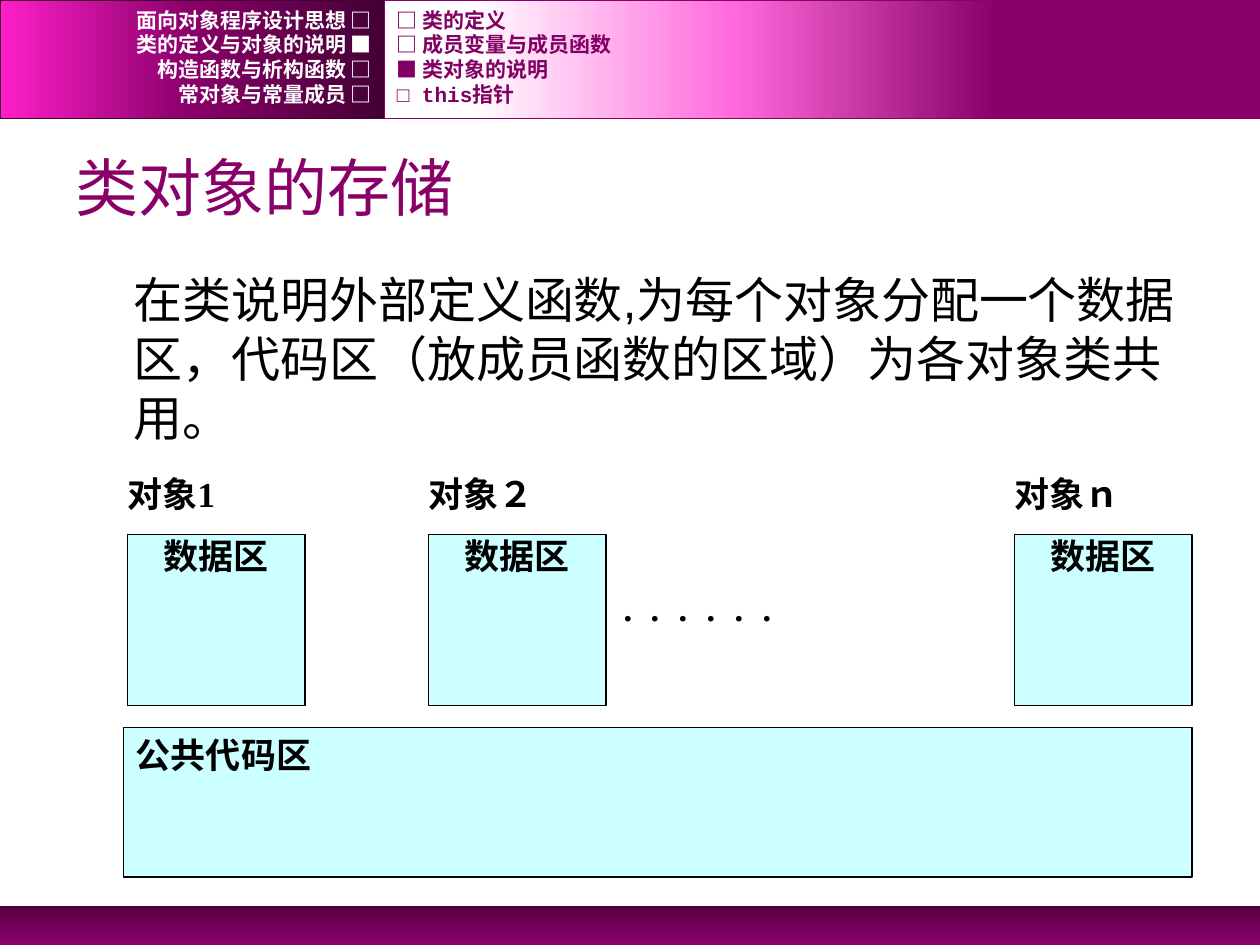
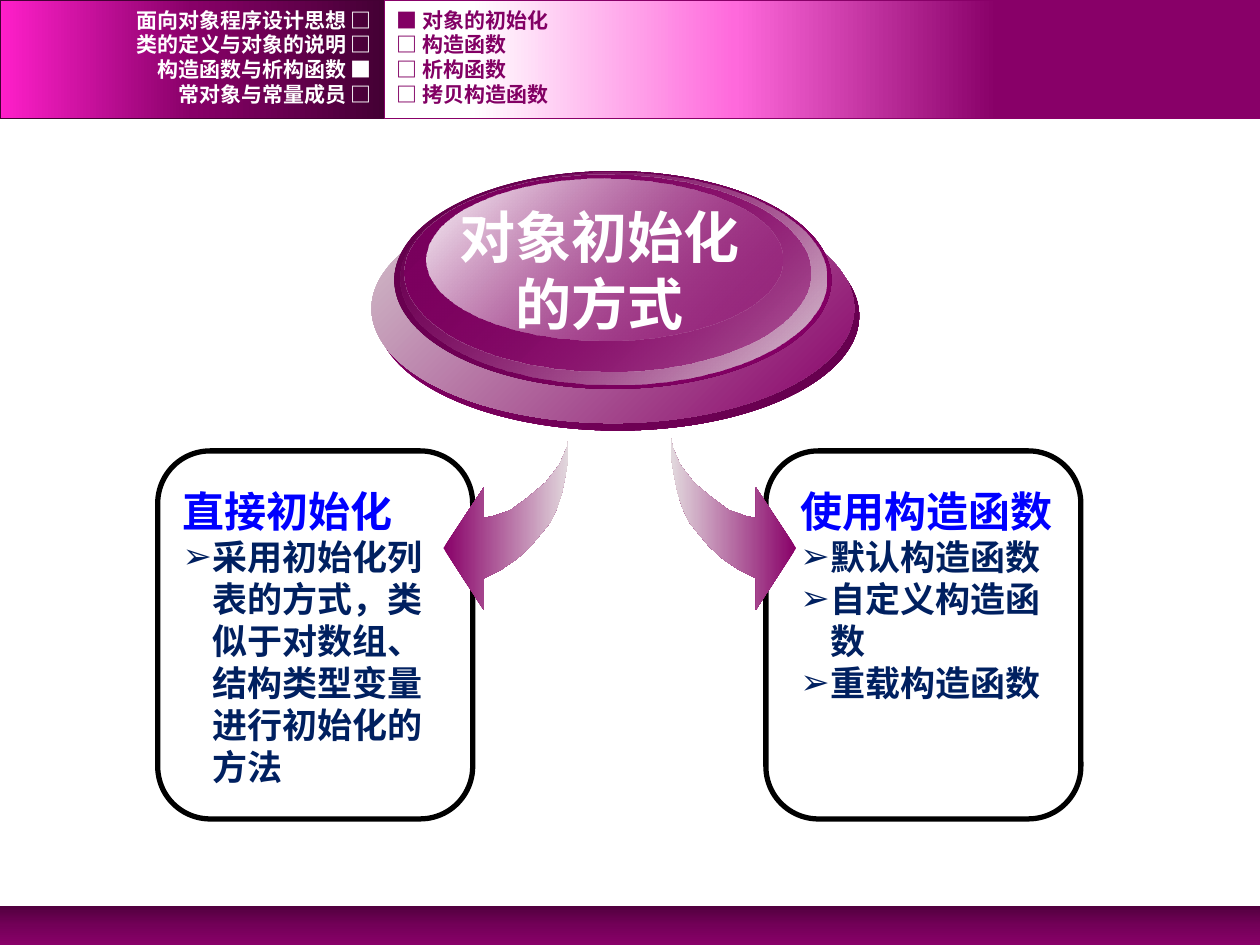
import dataclasses

import lxml.etree
import pptx
import pptx.dml.color
import pptx.enum.lang
import pptx.enum.shapes
import pptx.enum.text
import pptx.oxml.ns
import pptx.util

Cm = pptx.util.Cm
qn = pptx.oxml.ns.qn
SHAPE = pptx.enum.shapes.MSO_SHAPE
ALIGN = pptx.enum.text.PP_ALIGN
ANCHOR = pptx.enum.text.MSO_ANCHOR


# ---- Theme ----
@dataclasses.dataclass(frozen=True)
class Style:
    size: int
    color: str
    font: str
    bold: bool = True


class Theme:
    plum = "880068"
    black = "000000"
    area = "CCFFFF"
    east_asian = "Noto Sans CJK SC"
    line_pitch = 1.2
    title = Style(36, plum, "Arial", False)
    body = Style(28, black, "Arial", False)
    chapter = Style(12, "FFFFFF", "Courier New")
    section = Style(12, "820064", "Courier New")
    diagram = Style(20, black, "Times New Roman")
    dots = Style(16, black, "Times New Roman")
    hub = Style(32, "FFFFFF", east_asian)
    card_heading = Style(24, "0000FF", east_asian)
    card_item = Style(20, "002060", east_asian)
    # Gradient stops: position, colour and, where needed, opacity in percent
    footer_stops = [(0, "51003E"), (50, "730058"), (100, plum)]
    chapter_stops = [(0, "440034"), (50, plum), (100, "FF1FCA")]
    section_stops = [(30, plum), (60, "FF69DC"), (90, "FFFFFF")]
    arrow_stops = [(0, plum), (100, "E2D8DD")]


# ---- Content ----
CHAPTERS = ["面向对象程序设计思想", "类的定义与对象的说明",
            "构造函数与析构函数", "常对象与常量成员"]

STORAGE = {
    "chapter": 1,
    "sections": ["类的定义", "成员变量与成员函数", "类对象的说明", "this指针"],
    "section": 2,
    "title": "类对象的存储",
    "body": "在类说明外部定义函数,为每个对象分配一个数据区，"
            "代码区（放成员函数的区域）为各对象类共用。",
    "objects": [("对象1", 2.57), ("对象２", 8.64), ("对象ｎ", 20.45)],
    "data": "数据区",
    "dots": "．．．．．．",
    "code": "公共代码区",
}

INITIALISATION = {
    "chapter": 2,
    "sections": ["对象的初始化", "构造函数", "析构函数", "拷贝构造函数"],
    "section": 0,
    "title": ["对象初始化", "的方式"],
    "cards": [
        {"left": 3.18, "text": (3.43, 9.65, 5.66, 5.56), "heading": "直接初始化",
         "items": ["采用初始化列表的方式，类似于对数组、结构类型变量进行初始化的方法"]},
        {"left": 15.44, "text": (15.88, 9.65, 5.77, 4.7), "heading": "使用构造函数",
         "items": ["默认构造函数", "自定义构造函数", "重载构造函数"]},
    ],
}

# Layers of the glossy button, back to front: box, gradient stops
BUTTON_LAYERS = [
    ((7.59, 4.06, 9.73, 4.62), [(0, Theme.plum), (100, "63004C")]),
    ((7.49, 3.91, 9.73, 4.62), [(0, "D5C6CE"), (100, Theme.plum)]),
    ((7.95, 3.45, 8.81, 4.39), [(0, "61004A"), (100, Theme.plum)]),
    ((8.08, 3.48, 8.59, 4.27), [(0, Theme.plum, 0), (100, "DFD4DA")]),
    ((8.15, 3.51, 8.18, 3.99), [(0, "7B005E"), (100, Theme.plum, 48)]),
    ((8.59, 3.61, 7.19, 3.25), [(0, "FFFFFF"), (100, Theme.plum, 38)]),
]

# Outline of the left arrow; the right one is its reflection
ARROW = [
    (11.46, 8.84), (11.46, 9.22), (11.4, 9.58), (11.33, 9.93), (11.23, 10.24),
    (11.1, 10.52), (10.9, 10.77), (10.69, 11.02), (10.44, 11.25), (10.11, 11.48),
    (9.75, 11.66), (9.75, 12.29), (8.94, 11.05), (9.75, 9.83), (9.75, 10.44),
    (9.93, 10.41), (10.29, 10.29), (10.64, 10.03), (11, 9.73), (11.28, 9.37),
    (11.43, 9.02),
]
ARROW_MIRROR = 24.99

# ---- Layout in centimetres ----
PAGE_WIDTH, PAGE_HEIGHT = 25.4, 19.05
HEADER_HEIGHT, HEADER_SPLIT = 2.39, 7.75
FOOTER_HEIGHT = 0.79
ROW_TOP, ROW_HEIGHT = 0.15, 0.5
NO_INSETS = (0, 0, 0, 0)
ROW_INSETS = (0.25, 0, 0.25, 0)


# ---- Helpers ----
def rgb(color):
    return pptx.dml.color.RGBColor.from_string(color)


def place(shape, box):
    shape.left, shape.top, shape.width, shape.height = map(Cm, box)


def fill_gradient(shape, stops, angle):
    shape.fill.gradient()
    gradient = shape.element.spPr.find(qn("a:gradFill"))
    stop_list = gradient.find(qn("a:gsLst"))
    for old_stop in list(stop_list):
        stop_list.remove(old_stop)
    for position, color, *opacity in stops:
        stop = lxml.etree.SubElement(stop_list, qn("a:gs"), pos=str(position * 1000))
        paint = lxml.etree.SubElement(stop, qn("a:srgbClr"), val=color)
        for percent in opacity:
            lxml.etree.SubElement(paint, qn("a:alpha"), val=str(percent * 1000))
    gradient.find(qn("a:lin")).set("ang", str(angle * 60000))


def decorate(shape, fill=None, stops=None, angle=0, line=None, weight=0.75):
    shape.shadow.inherit = False
    if stops:
        fill_gradient(shape, stops, angle)
    elif fill:
        shape.fill.solid()
        shape.fill.fore_color.rgb = rgb(fill)
    else:
        shape.fill.background()
    if line:
        shape.line.color.rgb = rgb(line)
        shape.line.width = pptx.util.Pt(weight)
    else:
        shape.line.fill.background()
    return shape


def add_figure(slide, kind, box, **look):
    return decorate(slide.shapes.add_shape(kind, *map(Cm, box)), **look)


def write(shape, text, style, align=ALIGN.LEFT, anchor=ANCHOR.TOP,
          insets=None, bullet=None, margin=0, hanging=0):
    """Fill the first empty paragraph of the shape, or append one."""
    frame = shape.text_frame
    frame.word_wrap = True
    frame.auto_size = pptx.enum.text.MSO_AUTO_SIZE.NONE
    frame.vertical_anchor = anchor
    if insets:
        (frame.margin_left, frame.margin_top,
         frame.margin_right, frame.margin_bottom) = map(Cm, insets)
    paragraph = frame.add_paragraph() if frame.text else frame.paragraphs[0]
    paragraph.alignment = align
    paragraph.line_spacing = pptx.util.Pt(style.size * Theme.line_pitch)
    paragraph.space_before = pptx.util.Pt(0)
    properties = paragraph._p.get_or_add_pPr()
    properties.set("marL", str(Cm(margin)))
    properties.set("indent", str(-Cm(hanging)))
    if bullet:
        lxml.etree.SubElement(properties, qn("a:buFont"), typeface="Arial")
        lxml.etree.SubElement(properties, qn("a:buChar"), char=bullet)
    else:
        lxml.etree.SubElement(properties, qn("a:buNone"))
    run = paragraph.add_run()
    run.text = text
    run.font.size = pptx.util.Pt(style.size)
    run.font.bold = style.bold
    run.font.color.rgb = rgb(style.color)
    run.font.name = style.font
    run.font.language_id = pptx.enum.lang.MSO_LANGUAGE_ID.SIMPLIFIED_CHINESE
    latin = run._r.get_or_add_rPr().find(qn("a:latin"))
    latin.addnext(latin.makeelement(qn("a:ea"), {"typeface": Theme.east_asian}))


def add_label(slide, box, text, style, **text_format):
    write(slide.shapes.add_textbox(*map(Cm, box)), text, style, **text_format)


# ---- Shared parts ----
def add_master_bands(presentation, slide):
    """Draw the bands, then move them behind everything on the master."""
    bands = [
        ((0, PAGE_HEIGHT - FOOTER_HEIGHT, PAGE_WIDTH, FOOTER_HEIGHT),
         dict(stops=Theme.footer_stops, angle=90)),
        ((0, 0, HEADER_SPLIT, HEADER_HEIGHT),
         dict(stops=Theme.chapter_stops, angle=180, line="440034", weight=1)),
        ((HEADER_SPLIT, 0, PAGE_WIDTH - HEADER_SPLIT, HEADER_HEIGHT),
         dict(stops=Theme.section_stops, angle=180, line=Theme.plum, weight=1)),
    ]
    master_tree = presentation.slide_master.shapes.element
    for index, (box, look) in enumerate(bands):
        band = add_figure(slide, SHAPE.RECTANGLE, box, **look)
        band.element.nvSpPr.cNvPr.set("id", str(100 + index))
        master_tree.insert(2 + index, band.element)


def add_navigation(slide, content):
    def marker(index, current):
        return "■" if index == current else "□"

    for index, (chapter, section) in enumerate(zip(CHAPTERS, content["sections"])):
        top = ROW_TOP + index * ROW_HEIGHT
        add_label(slide, (0, top, HEADER_SPLIT, ROW_HEIGHT),
                  f"{chapter} {marker(index, content['chapter'])}", Theme.chapter,
                  align=ALIGN.RIGHT, anchor=ANCHOR.MIDDLE, insets=ROW_INSETS)
        add_label(slide, (HEADER_SPLIT, top, 15.29, ROW_HEIGHT),
                  f"{marker(index, content['section'])} {section}", Theme.section,
                  anchor=ANCHOR.MIDDLE, insets=ROW_INSETS)


# ---- Slides ----
def build_storage(slide, content):
    title, body = slide.shapes.title, slide.placeholders[1]
    place(title, (1.27, 2.77, 22.86, 1.98))
    write(title, content["title"], Theme.title, anchor=ANCHOR.MIDDLE)
    place(body, (1.47, 5.31, 22.66, 5.74))
    write(body, content["body"], Theme.body, margin=0.97)

    # One data area per object above the common code area
    for name, left in content["objects"]:
        area = add_figure(slide, SHAPE.RECTANGLE, (left, 10.77, 3.58, 3.45),
                          fill=Theme.area, line=Theme.black)
        write(area, content["data"], Theme.diagram, align=ALIGN.CENTER, insets=NO_INSETS)
        add_label(slide, (left, 9.52, 4.3, 0.86), name, Theme.diagram, insets=NO_INSETS)
    add_label(slide, (12.5, 11.99, 7.77, 0.79), content["dots"], Theme.dots,
              insets=NO_INSETS)
    code = add_figure(slide, SHAPE.RECTANGLE, (2.49, 14.66, 21.54, 3.02),
                      fill=Theme.area, line=Theme.black)
    write(code, content["code"], Theme.diagram)


def add_arrow(slide, points, angle):
    start, *rest = [(Cm(x), Cm(y)) for x, y in points]
    builder = slide.shapes.build_freeform(*start)
    builder.add_line_segments(rest, close=True)
    decorate(builder.convert_to_shape(), stops=Theme.arrow_stops, angle=angle)


def build_initialisation(slide, content):
    # Cards with a heading and a bulleted list
    for index, card in enumerate(content["cards"], start=1):
        body = slide.placeholders[index]
        place(body, card["text"])
        write(body, card["heading"], Theme.card_heading)
        for item in card["items"]:
            write(body, item, Theme.card_item, bullet="➢", margin=0.6, hanging=0.6)
        add_figure(slide, SHAPE.ROUNDED_RECTANGLE, (card["left"], 9.09, 6.35, 7.42),
                   line=Theme.black, weight=3)

    add_arrow(slide, ARROW, 0)
    add_arrow(slide, [(ARROW_MIRROR - x, y) for x, y in ARROW], 180)

    # Button with the title on top
    for box, stops in BUTTON_LAYERS:
        add_figure(slide, SHAPE.OVAL, box, stops=stops, angle=45)
    title = slide.shapes.title
    place(title, (8.41, 3.96, 7.37, 3))
    for line in content["title"]:
        write(title, line, Theme.hub, align=ALIGN.CENTER)
    slide.shapes.element.append(title.element)


def main():
    presentation = pptx.Presentation()
    presentation.slide_width, presentation.slide_height = Cm(PAGE_WIDTH), Cm(PAGE_HEIGHT)
    layouts = presentation.slide_layouts
    pages = [("Title and Content", build_storage, STORAGE),
             ("Two Content", build_initialisation, INITIALISATION)]
    for layout_name, build, content in pages:
        slide = presentation.slides.add_slide(layouts.get_by_name(layout_name))
        build(slide, content)
        add_navigation(slide, content)
    add_master_bands(presentation, presentation.slides[0])
    presentation.save("out.pptx")


if __name__ == "__main__":
    main()
